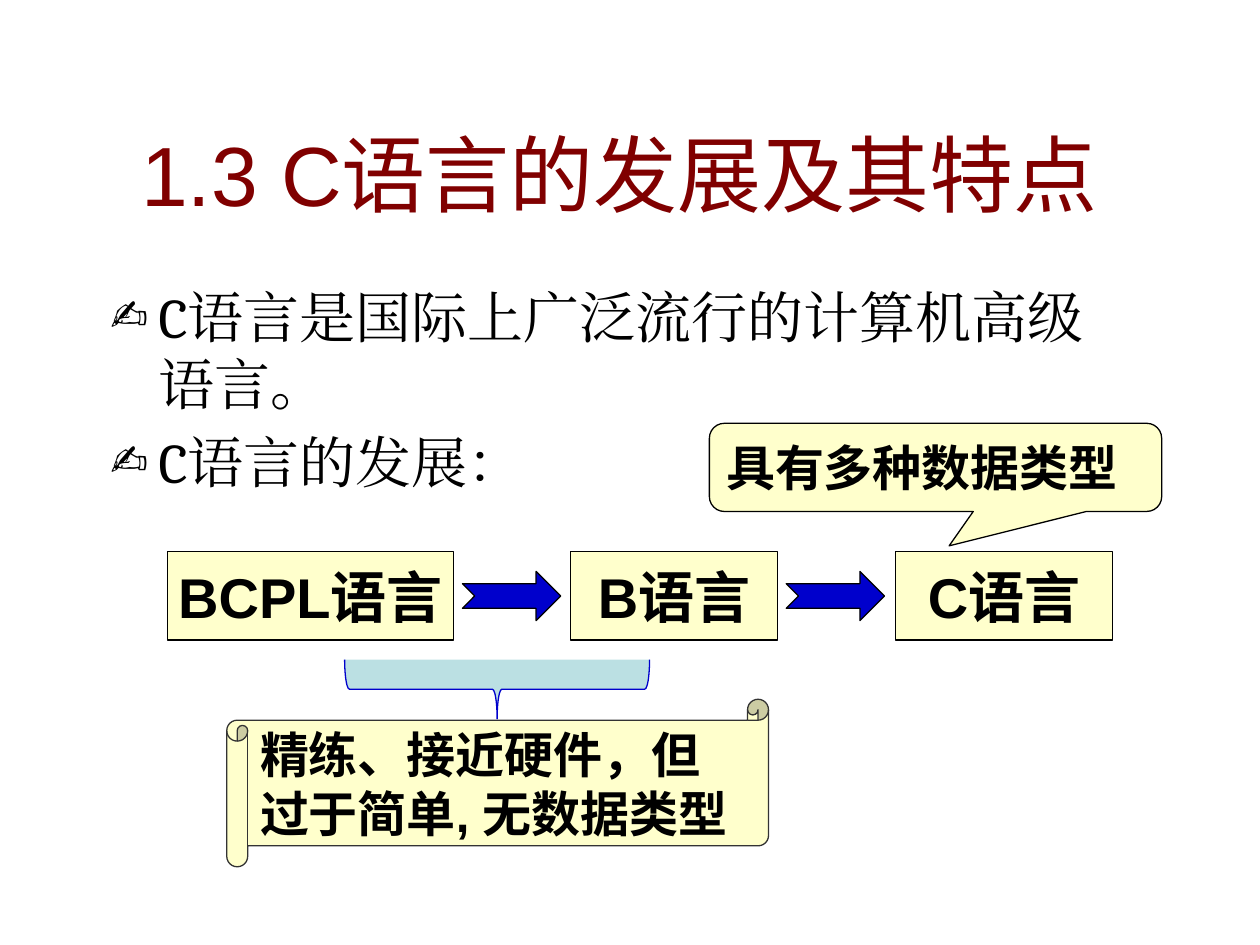
from pptx import Presentation
from pptx.util import Inches, Pt
from pptx.dml.color import RGBColor as Rgb
from pptx.enum.shapes import MSO_SHAPE as Kind
from pptx.enum.text import PP_ALIGN as Al, MSO_ANCHOR as Anc
from pptx.oxml.ns import qn
from lxml.etree import SubElement as Sub

COL = {"title": "800000", "ink": "000000", "cream": "FFFFCC",
       "blue": "0000CC", "pale": "BBE0E3", "grey": "333333"}

TITLE = "1.3 C语言的发展及其特点"
POINTS = ["C语言是国际上广泛流行的计算机高级语言。", "C语言的发展："]
STAGES = [("BCPL语言", 1.33, 2.27), ("B语言", 4.53, 1.64), ("C语言", 7.11, 1.72)]
FLAWS = ["精练、接近硬件，但", "过于简单, 无数据类型"]
MERIT = ["具有多种数据类型"]
TOP, HIGH = 4.38, 0.7
GAP, WIDE, TALL = 0.07, 0.78, 0.39


def write(shape, lines, size=32, font="Arial", color="ink", bold=False,
          align=Al.LEFT, anchor=Anc.MIDDLE, wrap=False):
    frame = shape.text_frame
    frame.word_wrap = wrap
    frame.vertical_anchor = anchor
    for i, line in enumerate(lines):
        para = frame.add_paragraph() if i else frame.paragraphs[0]
        para.alignment = align
        run = para.add_run()
        run.text = line
        face = run.font
        face.size, face.name, face.bold = Pt(size), font, bold
        face.color.rgb = Rgb.from_string(COL[color])
        Sub(run._r.get_or_add_rPr(), qn("a:ea")).set("typeface", font)
    return frame


def draw(kind, box, fill="cream", line="ink", adj=()):
    shape = slide.shapes.add_shape(kind, *map(Inches, box))
    shape.shadow.inherit = False
    shape.fill.solid()
    shape.fill.fore_color.rgb = Rgb.from_string(COL[fill])
    shape.line.color.rgb = Rgb.from_string(COL[line])
    shape.line.width = Pt(0.75)
    for i, val in enumerate(adj):
        shape.adjustments[i] = val
    return shape


deck = Presentation()
deck.slide_width, deck.slide_height = Inches(10), Inches(7.5)
slide = deck.slides.add_slide(deck.slide_layouts[5])

title = slide.shapes.title
title.left, title.top = Inches(1.02), Inches(0.86)
title.width, title.height = Inches(8.36), Inches(1.03)
write(title, [TITLE], size=48, color="title", wrap=True)

body = slide.shapes.add_textbox(*map(Inches, (0.78, 2.19, 8.35, 2.34)))
frame = write(body, POINTS, font="Cambria", anchor=Anc.TOP, wrap=True)
for para in frame.paragraphs:
    para.space_before = Pt(6.4)
    props = para._p.get_or_add_pPr()
    props.set("marL", str(Inches(0.38)))
    props.set("indent", str(-Inches(0.38)))
    Sub(props, qn("a:buChar")).set("char", "✍")

for i, (name, left, width) in enumerate(STAGES):
    stage = draw(Kind.FLOWCHART_PROCESS, (left, TOP, width, HIGH))
    write(stage, [name], bold=True, align=Al.CENTER)
    if i < len(STAGES) - 1:
        draw(Kind.NOTCHED_RIGHT_ARROW,
             (left + width + GAP, TOP + (HIGH - TALL) / 2, WIDE, TALL), fill="blue")

brace = draw(Kind.RIGHT_BRACE, (3.71, 4.26, 0.47, 2.42), "pale", "blue", (0.08, 0.5))
brace.rotation = 90

scroll = draw(Kind.HORIZONTAL_SCROLL, (1.8, 5.55, 4.3, 1.33), line="grey", adj=(0.125,))
write(scroll, FLAWS, size=28, bold=True)

callout = draw(Kind.ROUNDED_RECTANGULAR_CALLOUT, (5.63, 3.36, 3.59, HIGH),
               adj=(0.03, 0.89, 0.17))
write(callout, MERIT, size=28, bold=True)

deck.save("out.pptx")
